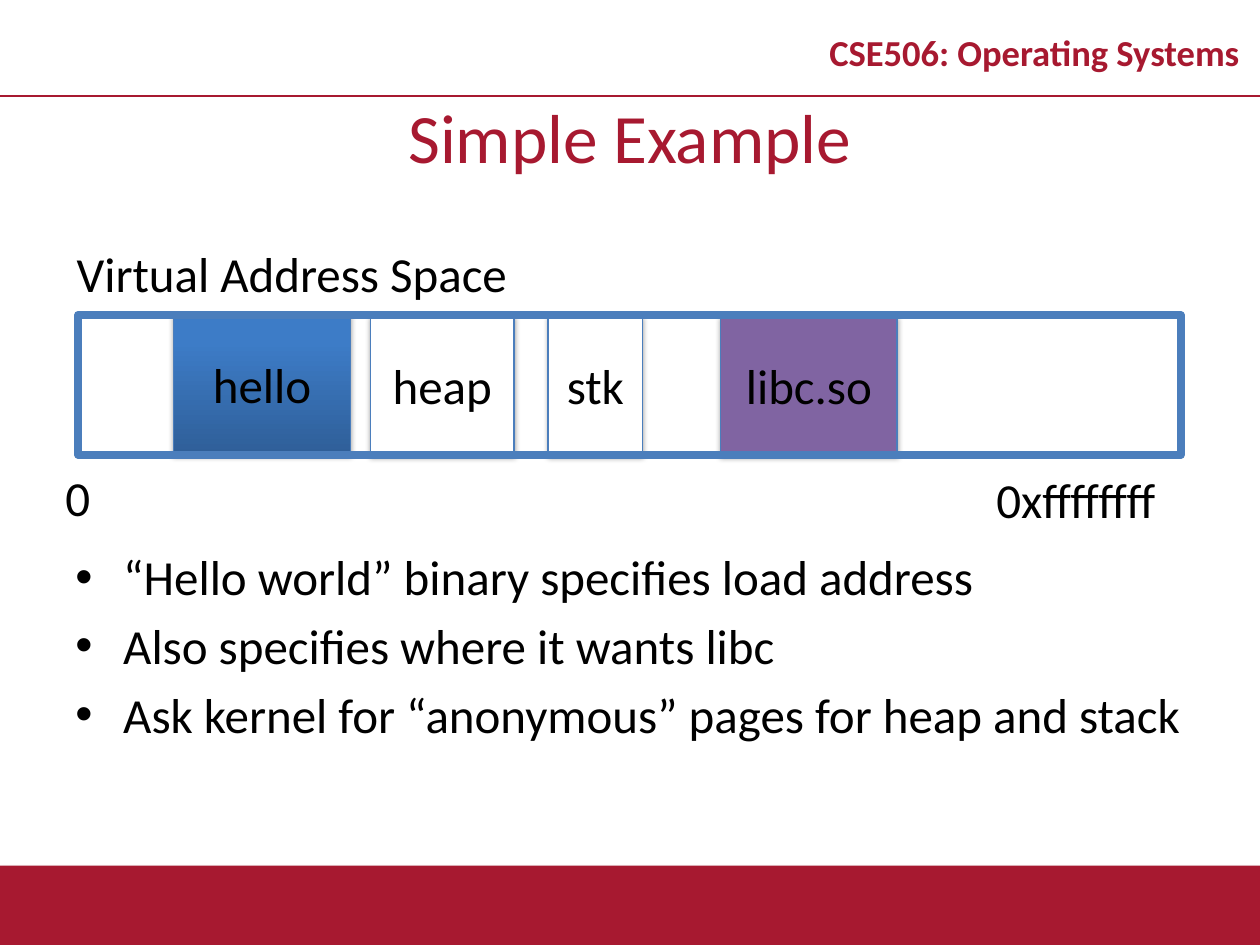
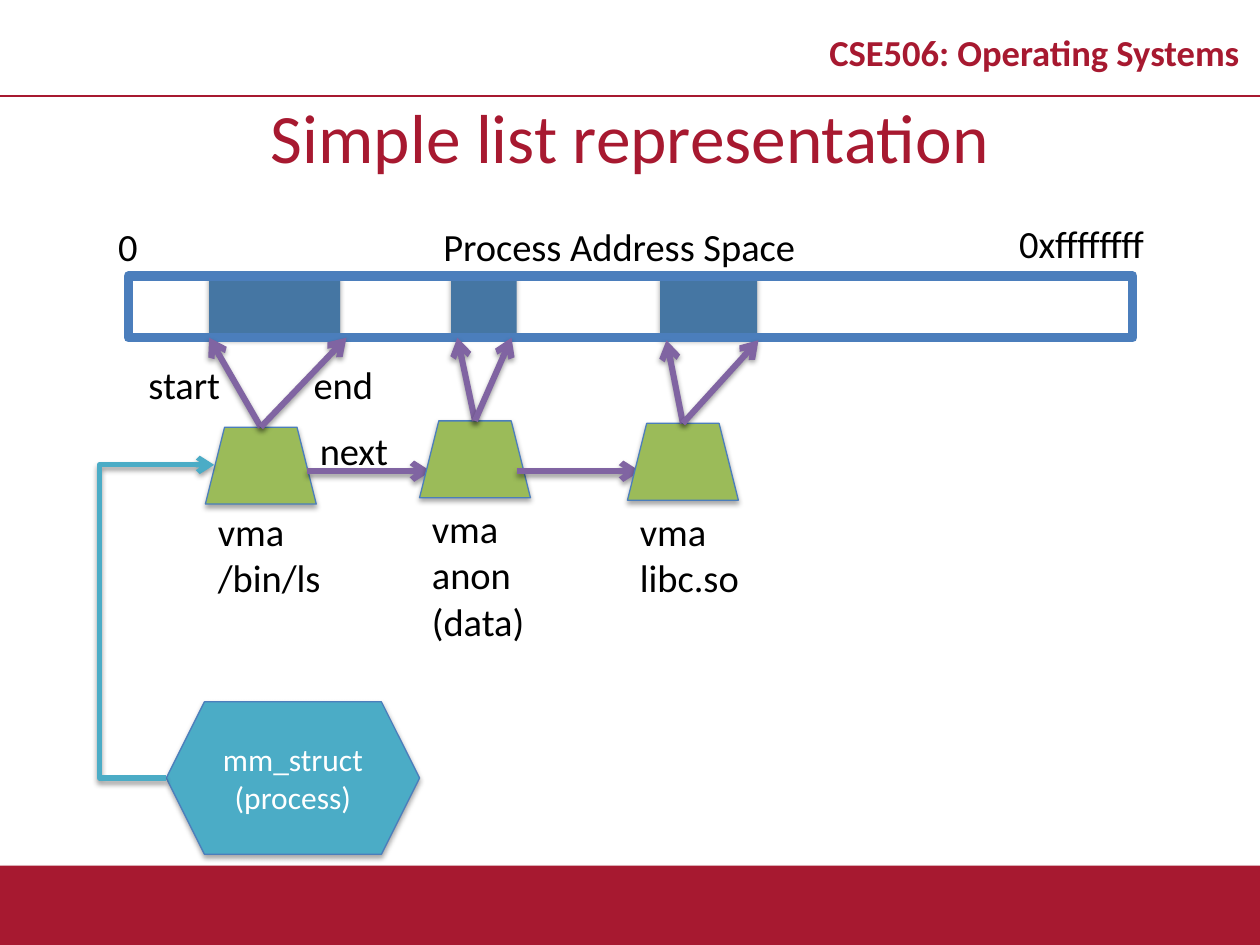
from lxml import etree
from pptx import Presentation
from pptx.dml.color import RGBColor
from pptx.enum import shapes, text
from pptx.oxml import ns
from pptx.util import Inches, Pt

FONT = "Calibri"
COLORS = {
    "crimson": "A71930", "black": "000000", "white": "FFFFFF",
    "outline": "4B7EBC", "segment": "4576A3", "purple": "8064A2",
    "green": "9BBB59", "teal": "4BACC6",
    "gradient_low": "2F5F99", "gradient_high": "3D7CC7",
}
KIND = shapes.MSO_SHAPE
ALIGN = text.PP_ALIGN
MIDDLE = text.MSO_ANCHOR.MIDDLE


def color(name):
    return RGBColor.from_string(COLORS[name])


def add_child(parent, tag, **attributes):
    child = etree.SubElement(parent, ns.qn(tag))
    for key, value in attributes.items():
        child.set(key, str(value))
    return child


def add_shadow(effects, opacity=35):
    shadow = add_child(effects, "a:outerShdw", blurRad=Pt(3.1), dist=Pt(1.8),
                       dir=90 * 60000, rotWithShape=0)
    black = add_child(shadow, "a:srgbClr", val=COLORS["black"])
    add_child(black, "a:alpha", val=opacity * 1000)


def write_text(frame, lines, size=22, ink="black", bold=False, align=ALIGN.LEFT,
               anchor=text.MSO_ANCHOR.TOP, wrap=True, bullet=False, spacing=None):
    frame.word_wrap = wrap
    frame.vertical_anchor = anchor
    for index, line in enumerate(lines.split("\n")):
        para = frame.paragraphs[0] if index == 0 else frame.add_paragraph()
        para.alignment = align
        if spacing:
            para.line_spacing = spacing
        if bullet:
            para.space_before = Pt(size * 0.2)
            properties = para._p.get_or_add_pPr()
            properties.set("marL", str(Inches(0.38)))
            properties.set("indent", str(-Inches(0.38)))
            add_child(properties, "a:buFont", typeface="Arial")
            add_child(properties, "a:buChar", char="•")
        span = para.add_run()
        span.text = line
        span.font.name = FONT
        span.font.size = Pt(size)
        span.font.bold = bold
        span.font.color.rgb = color(ink)


def add_text(page, box, lines, grow=False, **style):
    label = page.shapes.add_textbox(*map(Inches, box))
    write_text(label.text_frame, lines, **style)
    if grow:
        label.text_frame.auto_size = text.MSO_AUTO_SIZE.SHAPE_TO_FIT_TEXT
    return label


def add_shape(page, kind, box, fill=None, line=None, width=0.75, shadow=True):
    shape = page.shapes.add_shape(kind, *map(Inches, box))
    if fill:
        shape.fill.solid()
        shape.fill.fore_color.rgb = color(fill)
    else:
        shape.fill.background()
    if line:
        shape.line.color.rgb = color(line)
        shape.line.width = Pt(width)
    else:
        shape.line.fill.background()
    shape.shadow.inherit = False
    if shadow:
        add_shadow(shape._element.spPr.find(ns.qn("a:effectLst")))
    return shape


def add_line(page, start, end, ink, width, arrow=True,
             kind=shapes.MSO_CONNECTOR.STRAIGHT):
    line = page.shapes.add_connector(kind, *map(Inches, (*start, *end)))
    line.line.color.rgb = color(ink)
    line.line.width = Pt(width)
    effects = add_child(line._element.spPr, "a:effectLst")
    if arrow:
        add_child(line.line._get_or_add_ln(), "a:tailEnd", type="arrow")
        add_shadow(effects, opacity=38)
    return line


def add_page(deck, title):
    """Blank page with the course header, title and footer band."""
    page = deck.slides.add_slide(deck.slide_layouts[6])
    add_shape(page, KIND.RECTANGLE, (0, 6.87, 10, 0.63), fill="crimson")
    add_line(page, (0, 0.76), (10, 0.76), "crimson", 1, arrow=False)
    add_text(page, (6.42, 0.13, 3.58, 0.63), "CSE506: Operating Systems", size=20.9,
             ink="crimson", bold=True, align=ALIGN.CENTER, anchor=MIDDLE, spacing=0.8)
    add_text(page, (0, 0.76, 10, 0.63), title, size=39.6, ink="crimson",
             align=ALIGN.CENTER, anchor=MIDDLE)
    return page


def add_address_space(page, box, segments, frame_width, segment_line=None):
    """Memory bar; segments are (offset, rise, width, fill, name)."""
    left, top, _, height = box
    blocks = []
    for offset, rise, width, fill, name in segments:
        block = add_shape(page, KIND.RECTANGLE,
                          (left + offset, top - rise, width, height),
                          fill=fill, line=segment_line)
        if name:
            write_text(block.text_frame, name, size=28, align=ALIGN.CENTER,
                       anchor=MIDDLE)
        blocks.append(block)
    add_shape(page, KIND.RECTANGLE, box, line="outline", width=frame_width, shadow=False)
    return blocks


def add_vma(page, box, label, label_box, targets, target_top):
    """List node with its label and arrows to both ends of its segment."""
    left, top, _, _ = box
    node = add_shape(page, KIND.TRAPEZOID, box, fill="green", line="outline")
    shift, drop, width, height = label_box
    add_text(page, (left + shift, top + drop, width, height), label,
             wrap=False, grow=True)
    for target in targets:
        arrow = add_line(page, (left, top), (target, target_top), "purple", 3.5)
        arrow.begin_connect(node, 0)


def add_process(page, box, list_head):
    """mm_struct hexagon and the elbow arrow to the head of the list."""
    left, top, _, height = box
    process = add_shape(page, KIND.HEXAGON, box, fill="teal", line="outline")
    write_text(process.text_frame, "mm_struct\n(process)", size=18, ink="white",
               align=ALIGN.CENTER, anchor=MIDDLE)
    elbow = add_line(page, (left, top + height / 2), list_head, "teal", 3,
                     kind=shapes.MSO_CONNECTOR.ELBOW)
    bend = -0.53 / (list_head[0] - left)
    guides = elbow._element.spPr.find(ns.qn("a:prstGeom")).get_or_add_avLst()
    add_child(guides, "a:gd", name="adj1", fmla=f"val {round(bend * 100000)}")


def build_example(deck):
    page = add_page(deck, "Simple Example")
    add_text(page, (0.5, 4.29, 9, 2.53),
             "“Hello world” binary specifies load address\n"
             "Also specifies where it wants libc\n"
             "Ask kernel for “anonymous” pages for heap and stack",
             size=28, bullet=True)

    # Bar captions
    for box, caption in [((0.51, 1.88, 7.56, 0.57), "Virtual Address Space"),
                         ((0.42, 3.66, 0.42, 0.57), "0"),
                         ((7.81, 3.68, 1.57, 0.57), "0xffffffff")]:
        add_text(page, box, caption, size=28, grow=True)

    # Mapped regions
    segments = [(0.76, 0.01, 1.4, "segment", "hello"),
                (5.1, 0, 1.4, "purple", "libc.so"),
                (2.32, 0, 1.14, "white", "heap"),
                (3.73, 0, 0.75, "white", "stk")]
    hello = add_address_space(page, (0.62, 2.5, 8.75, 1.11), segments, 4.5, "outline")[0]
    hello.fill.gradient()
    hello.fill.gradient_angle = 90
    stops = [(0, "gradient_low"), (0.8, "gradient_high")]
    for stop, (position, name) in zip(hello.fill.gradient_stops, stops):
        stop.position = position
        stop.color.rgb = color(name)


def build_list(deck):
    page = add_page(deck, "Simple list representation")
    segments = [(4.22, 0, 0.77, "segment", ""),
                (2.56, 0.02, 0.52, "segment", ""),
                (0.64, 0, 1.04, "segment", "")]
    add_address_space(page, (1.02, 2.19, 7.97, 0.49), segments, 5.5)

    # Bar captions
    for box, caption in [((3.42, 1.72, 3.17, 0.47), "Process Address Space"),
                         ((0.84, 1.72, 0.36, 0.47), "0"),
                         ((7.99, 1.7, 1.3, 0.47), "0xffffffff")]:
        add_text(page, box, caption, wrap=False, grow=True)

    # Linked list of areas
    nodes = [(1.63, 3.39, "vma\n/bin/ls", (0, 0.59, 1.15, 0.84), (1.66, 2.75), 2.68, 2.44),
             (3.33, 3.34, "vma\nanon\n(data)", (0, 0.62, 0.96, 1.21), (3.63, 4.06), 2.68, 4.1),
             (4.98, 3.36, "vma\nlibc.so", (0, 0.62, 1.03, 0.84), (5.29, 6.02), 2.7, None)]
    for left, top, label, label_box, targets, target_top, next_left in nodes:
        add_vma(page, (left, top, 0.88, 0.61), label, label_box, targets, target_top)
        if next_left:
            add_line(page, (next_left, 3.74), (next_left + 0.98, 3.74), "purple", 3.5)

    # Field names
    for left, top, field in [(1.08, 2.82, "start"), (2.39, 2.82, "end"),
                             (2.44, 3.34, "next")]:
        add_text(page, (left, top, 0.77, 0.47), field, grow=True)

    add_process(page, (1.32, 5.57, 2.01, 1.21), list_head=(1.7, 3.69))


def main():
    deck = Presentation()
    deck.slide_width, deck.slide_height = Inches(10), Inches(7.5)
    build_example(deck)
    build_list(deck)
    deck.save("out.pptx")


if __name__ == "__main__":
    main()
